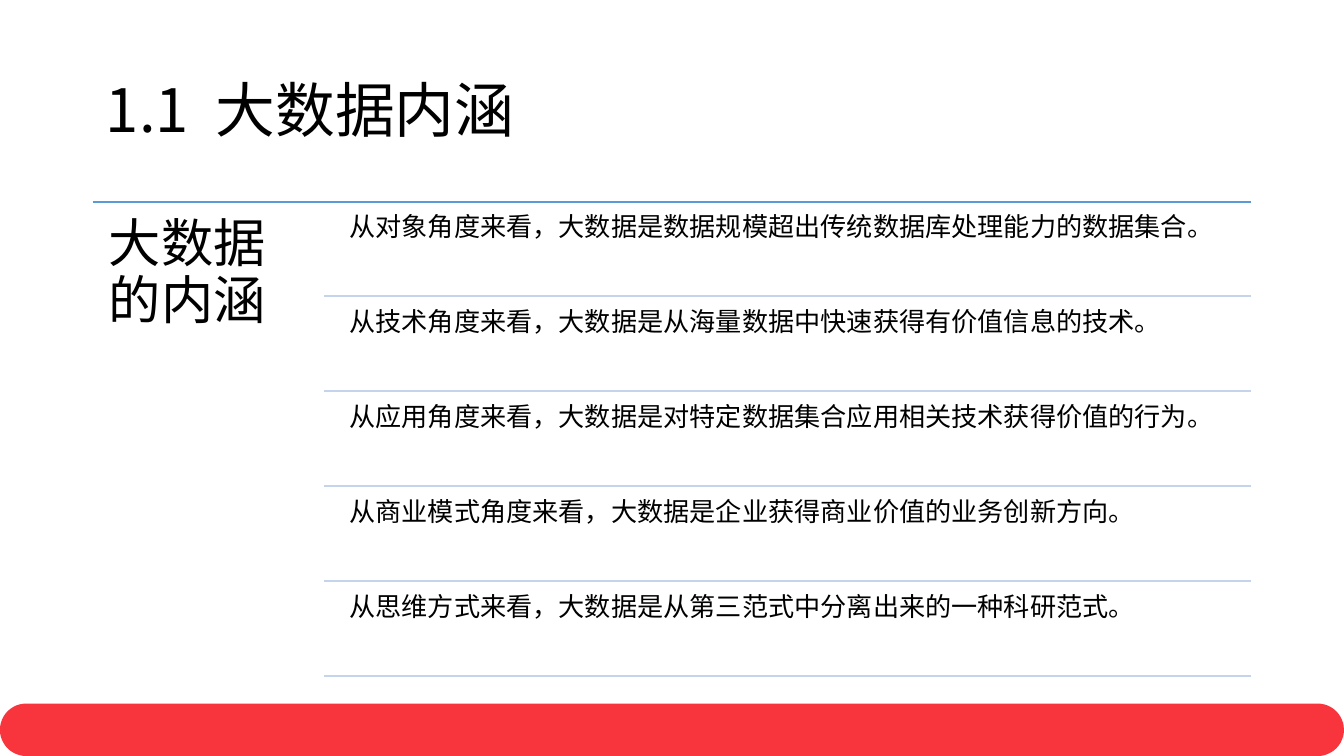
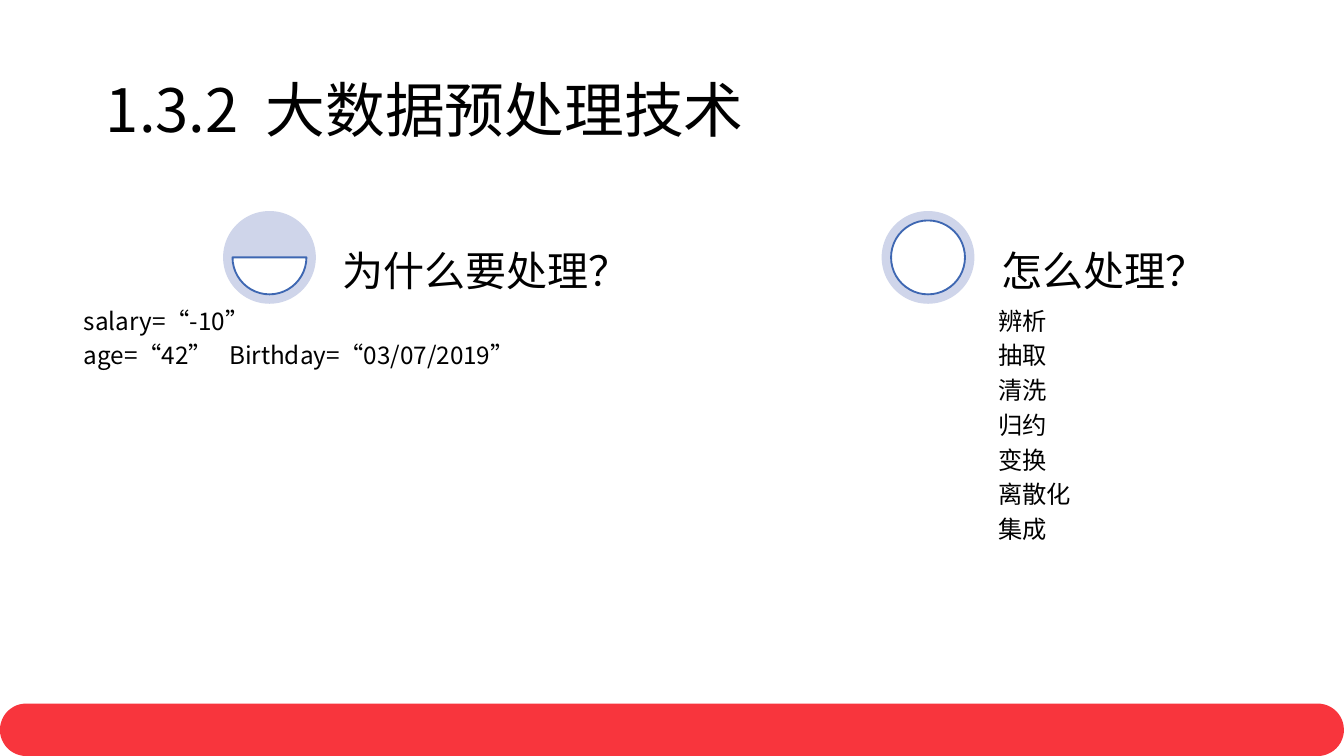
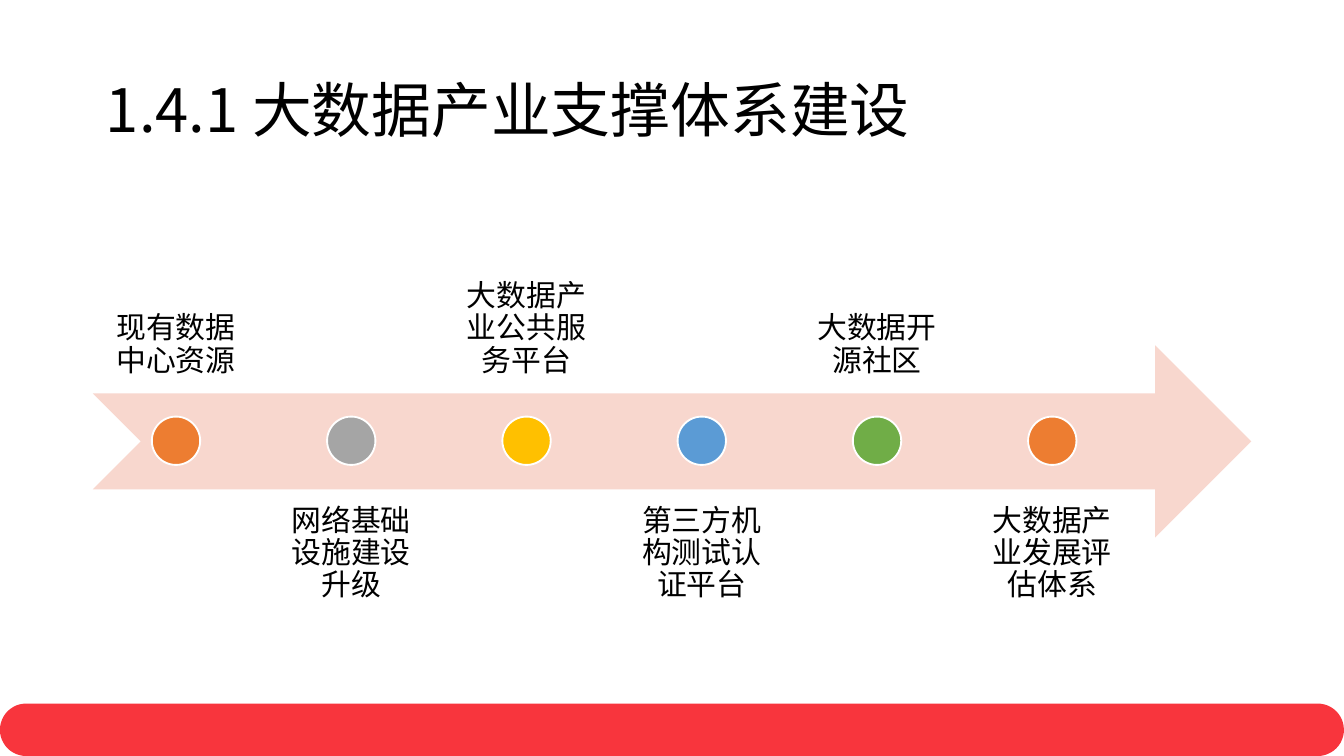
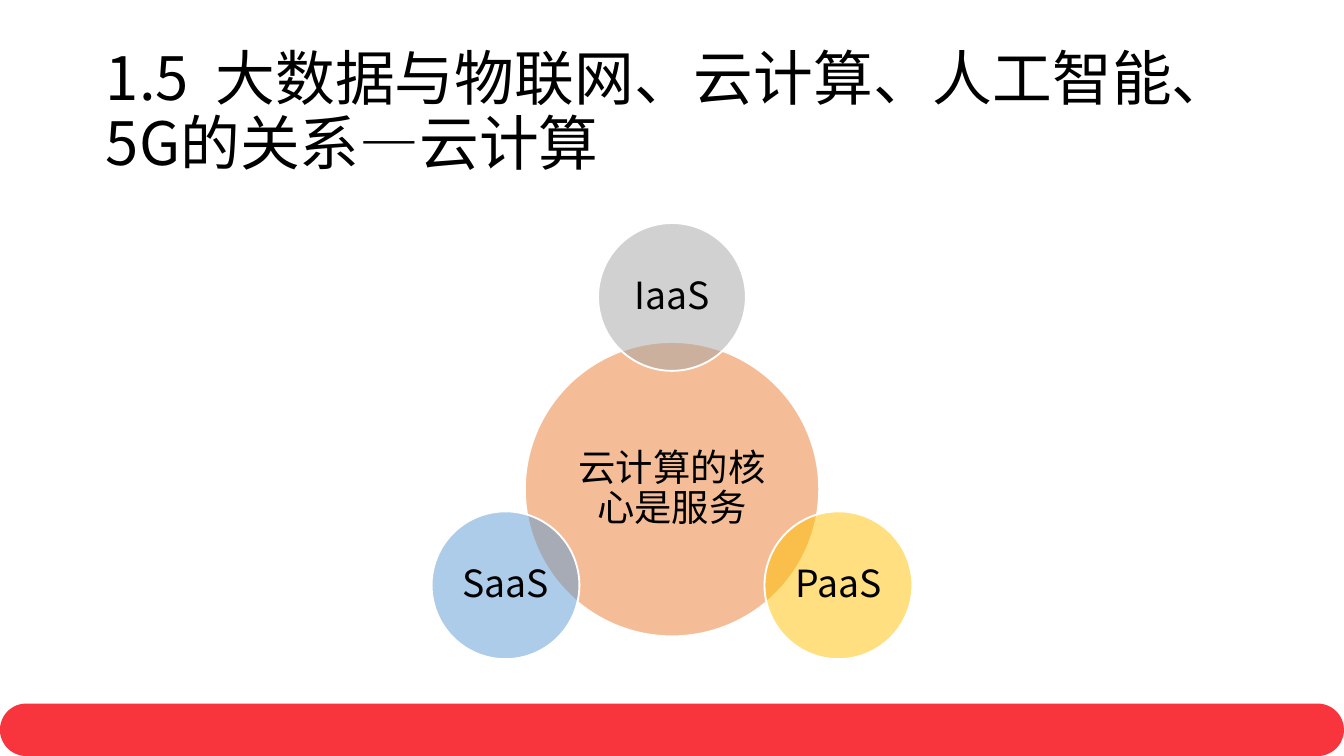
from math import cos, radians, sin, sqrt

from lxml.etree import SubElement
from pptx import Presentation
from pptx.dml.color import RGBColor
from pptx.enum.shapes import MSO_CONNECTOR as Connector, MSO_SHAPE as Shape
from pptx.enum.text import MSO_ANCHOR as Anchor, PP_ALIGN as Align
from pptx.oxml.ns import qn
from pptx.util import Inches, Pt

FONT = "Noto Sans CJK SC"
COLORS = {
    "text": "000000", "white": "FFFFFF", "band": "F8353D",
    "blue": "5B9BD5", "orange": "ED7D31", "gray": "A5A5A5",
    "gold": "FFC000", "green": "70AD47", "rule": "C4D5EB",
    "disc": "CFD5EA", "outline": "3E67B2", "arrow": "F8D7CE",
}
LEFT, RIGHT = 0.69, 9.31
SLIDE_WIDTH = 10
SLIDE_HEIGHT = SLIDE_WIDTH * 9 / 16
BAND_HEIGHT = 0.39

MEANING = {
    "title": "1.1  大数据内涵",
    "topic": "大数据的内涵",
    "views": [
        "从对象角度来看，大数据是数据规模超出传统数据库处理能力的数据集合。",
        "从技术角度来看，大数据是从海量数据中快速获得有价值信息的技术。",
        "从应用角度来看，大数据是对特定数据集合应用相关技术获得价值的行为。",
        "从商业模式角度来看，大数据是企业获得商业价值的业务创新方向。",
        "从思维方式来看，大数据是从第三范式中分离出来的一种科研范式。",
    ],
}
PREPROCESSING = {
    "title": "1.3.2  大数据预处理技术",
    "questions": [
        {"heading": "为什么要处理？", "left": 2.49, "body_width": 5.84, "chord": (0, 108),
         "lines": ["salary=“-10”", "age=“42”   Birthday=“03/07/2019”"]},
        {"heading": "怎么处理？", "left": 7.39, "body_width": 2.03, "chord": (162, 162),
         "lines": ["辨析", "抽取", "清洗", "归约", "变换", "离散化", "集成"]},
    ],
}
INDUSTRY = {
    "title": "1.4.1 大数据产业支撑体系建设",
    "stages": [
        ("现有数据中心资源", "orange"),
        ("网络基础设施建设升级", "gray"),
        ("大数据产业公共服务平台", "gold"),
        ("第三方机构测试认证平台", "blue"),
        ("大数据开源社区", "green"),
        ("大数据产业发展评估体系", "orange"),
    ],
}
CLOUD = {
    "title": "1.5  大数据与物联网、云计算、人工智能、5G的关系—云计算",
    "core": "云计算的核心是服务",
    "services": [("IaaS", "gray", -90), ("PaaS", "gold", 30), ("SaaS", "blue", 150)],
}


def rgb(name):
    return RGBColor.from_string(COLORS[name])


def inches(*lengths):
    return [Inches(length) for length in lengths]


def add_text(page, at, lines, size, inset, align=Align.LEFT, anchor=Anchor.TOP):
    frame = page.shapes.add_textbox(*inches(*at)).text_frame
    margins = {f"margin_{side}": Inches(inset) for side in ("left", "top", "right", "bottom")}
    for name, value in {"word_wrap": True, "vertical_anchor": anchor, **margins}.items():
        setattr(frame, name, value)
    for index, line in enumerate(lines):
        para = frame.add_paragraph() if index else frame.paragraphs[0]
        layout = {"alignment": align, "line_spacing": 0.9, "space_after": Pt(size * 0.35)}
        for name, value in layout.items():
            setattr(para, name, value)
        span = para.add_run()
        span.text = line
        span.font.size, span.font.name = Pt(size), FONT
        span.font.color.rgb = rgb("text")
        SubElement(span.font._element, qn("a:ea"), typeface=FONT)
    return frame


def add_figure(page, kind, at, fill, line=None, adjustments=(), alpha=None):
    figure = page.shapes.add_shape(kind, *inches(*at))
    figure.shadow.inherit = False
    figure.fill.solid()
    figure.fill.fore_color.rgb = rgb(fill)
    if alpha:
        color = figure.fill._xPr.find(f".//{qn('a:srgbClr')}")
        SubElement(color, qn("a:alpha"), val=str(alpha * 1000))
    if line:
        figure.line.color.rgb = rgb(line)
        figure.line.width = Pt(1)
    else:
        figure.line.fill.background()
    for index, value in enumerate(adjustments):
        figure.adjustments[index] = value


def add_rule(page, left, y, color):
    rule = page.shapes.add_connector(Connector.STRAIGHT, *inches(left, y, RIGHT, y))
    rule.line.color.rgb = rgb(color)
    rule.line.width = Pt(1)
    SubElement(rule._element.spPr, qn("a:effectLst"))


def add_page(deck, title):
    """Add a slide with the shared bottom band and title."""
    page = deck.slides.add_slide(deck.slide_layouts[6])
    add_figure(page, Shape.ROUNDED_RECTANGLE,
               (0, SLIDE_HEIGHT - BAND_HEIGHT, SLIDE_WIDTH, BAND_HEIGHT), "band",
               adjustments=[0.5])
    frame = add_text(page, (LEFT, 0.3, RIGHT - LEFT, 1.09), [title], 32, 0.1,
                     anchor=Anchor.MIDDLE)
    frame.margin_top = frame.margin_bottom = Inches(0.05)
    frame.paragraphs[0].space_after = Pt(0)
    return page


def build_meaning(deck):
    page = add_page(deck, MEANING["title"])
    top, row_height, row_step = 1.5, 0.67, 2.83 / 4
    add_rule(page, LEFT, top, "blue")
    add_text(page, (LEFT, top, 1.73, 3.57), [MEANING["topic"]], 28, 0.12)
    for index, view in enumerate(MEANING["views"]):
        row_top = top + 0.03 + index * row_step
        add_text(page, (2.54, row_top, 6.77, row_height), [view], 14, 0.06)
        add_rule(page, 2.41, row_top + row_height, "rule")


def build_preprocessing(deck):
    page = add_page(deck, PREPROCESSING["title"])
    top, disc, rim, heading_width = 1.57, 0.69, 0.07, 2.03
    for question in PREPROCESSING["questions"]:
        left, body_width = question["left"], question["body_width"]
        disc_left = left - 0.83
        inner = disc - 2 * rim
        add_figure(page, Shape.OVAL, (disc_left, top, disc, disc), "disc")
        add_figure(page, Shape.CHORD, (disc_left + rim, top + rim, inner, inner),
                   "white", "outline", question["chord"])
        body_left = left + (heading_width - body_width) / 2
        add_text(page, (body_left, top + disc, body_width, 2.88), question["lines"], 13, 0.04)
        add_text(page, (left, top, heading_width, disc), [question["heading"]], 22, 0.06,
                 anchor=Anchor.BOTTOM)


def build_industry(deck):
    page = add_page(deck, INDUSTRY["title"])
    width, height, dot, step = 1.24, 1.43, 0.36, 6.52 / 5
    add_figure(page, Shape.NOTCHED_RIGHT_ARROW, (LEFT, 2.57, RIGHT - LEFT, height), "arrow")
    for index, (label, color) in enumerate(INDUSTRY["stages"]):
        left = LEFT + index * step
        top, anchor = (3.64, Anchor.TOP) if index % 2 else (1.5, Anchor.BOTTOM)
        add_text(page, (left, top, width, height), [label], 16, 0.12, Align.CENTER, anchor)
        add_figure(page, Shape.OVAL, (left + (width - dot) / 2, 3.1, dot, dot), color, "white")


def add_bubble(page, center_x, center_y, diameter, label, color):
    """Add a translucent circle with its label in the inscribed square."""
    def square(side):
        return center_x - side / 2, center_y - side / 2, side, side

    add_figure(page, Shape.OVAL, square(diameter), color, "white", alpha=50)
    add_text(page, square(diameter / sqrt(2)), [label], 20, 0.03, Align.CENTER, Anchor.MIDDLE)


def build_cloud(deck):
    page = add_page(deck, CLOUD["title"])
    center_x, center_y, orbit = 5, 3.64, 1.43
    add_bubble(page, center_x, center_y, 2.19, CLOUD["core"], "orange")
    for label, color, degrees in CLOUD["services"]:
        angle = radians(degrees)
        add_bubble(page, center_x + orbit * cos(angle), center_y + orbit * sin(angle),
                   1.1, label, color)


def main():
    deck = Presentation()
    deck.slide_width, deck.slide_height = inches(SLIDE_WIDTH, SLIDE_HEIGHT)
    for build in (build_meaning, build_preprocessing, build_industry, build_cloud):
        build(deck)
    deck.save("out.pptx")


if __name__ == "__main__":
    main()
